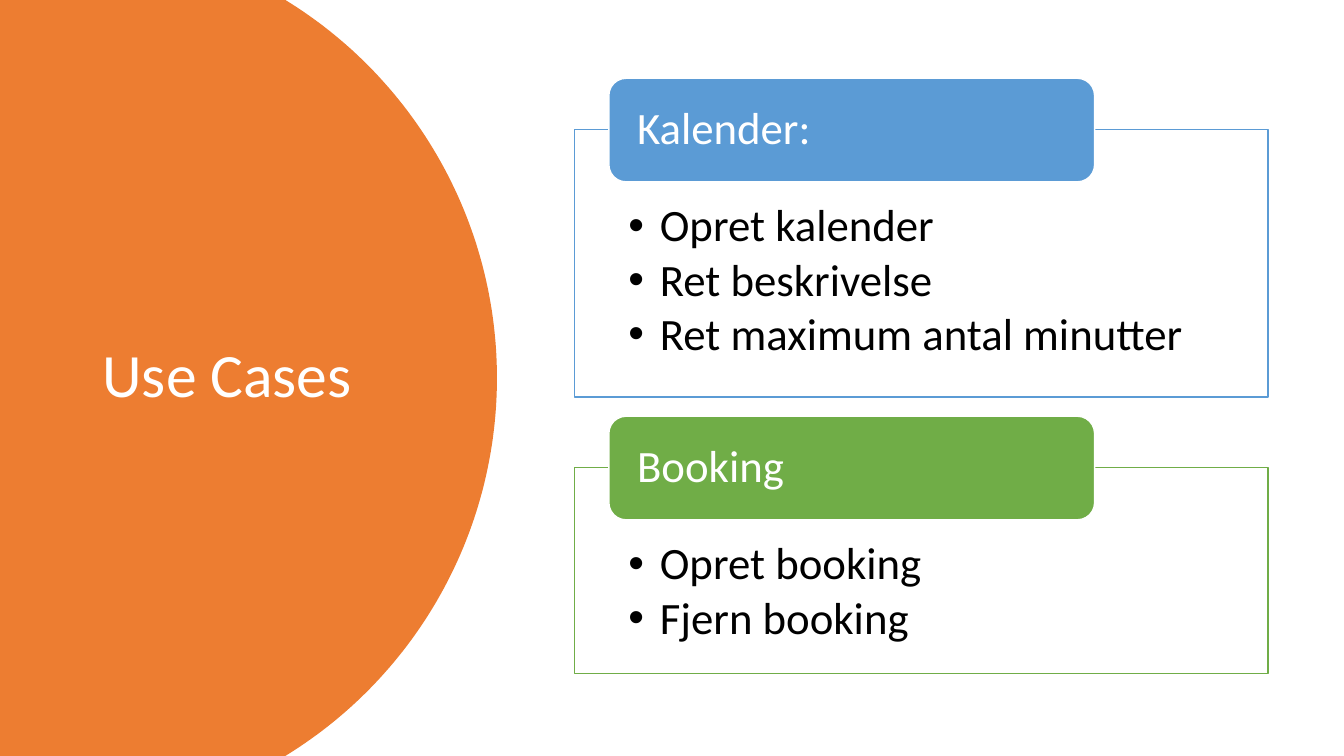
import dataclasses
import math

import pptx
import pptx.dml.color
import pptx.enum.shapes
import pptx.enum.text
import pptx.util

Pt = pptx.util.Pt
COLOURS = {
    "orange": "ED7D31",
    "blue": "5B9BD5",
    "green": "70AD47",
    "white": "FFFFFF",
    "black": "000000",
}
PAGE_WIDTH, PAGE_HEIGHT = 960, 540
BOX_LEFT, BOX_WIDTH = 410.4, 495.36
HEADER_LEFT, HEADER_WIDTH, HEADER_HEIGHT = 434.9, 347, 74
HEADER_RISE = 36.8


@dataclasses.dataclass(frozen=True)
class UseCaseGroup:
    heading: str
    items: tuple[str, ...]
    colour: str
    top: float
    height: float


GROUPS = (
    UseCaseGroup(
        "Kalender:",
        ("Opret kalender", "Ret beskrivelse", "Ret maximum antal minutter"),
        "blue", 92.7, 190.8,
    ),
    UseCaseGroup(
        "Booking", ("Opret booking", "Fjern booking"), "green", 334.1, 146.9
    ),
)


def rgb(name: str) -> pptx.dml.color.RGBColor:
    return pptx.dml.color.RGBColor.from_string(COLOURS[name])


def place(shape, left: float, top: float, width: float, height: float) -> None:
    shape.left, shape.top = Pt(left), Pt(top)
    shape.width, shape.height = Pt(width), Pt(height)


def paint(shape, fill: str, line: str) -> None:
    shape.fill.solid()
    shape.fill.fore_color.rgb = rgb(fill)
    shape.line.color.rgb = rgb(line)
    shape.line.width = Pt(1)


def write(shape, *lines: str, size: float = 32, colour: str = "white",
          middle: bool = True, margins: tuple = (7.2, 3.6, 7.2, 3.6),
          space_after: float = 0, hanging: float = 0) -> None:
    frame = shape.text_frame
    frame.word_wrap = True
    frame.auto_size = pptx.enum.text.MSO_AUTO_SIZE.NONE
    anchors = pptx.enum.text.MSO_ANCHOR
    frame.vertical_anchor = anchors.MIDDLE if middle else anchors.TOP
    (frame.margin_left, frame.margin_top,
     frame.margin_right, frame.margin_bottom) = map(Pt, margins)
    for index, line in enumerate(lines):
        para = frame.add_paragraph() if index else frame.paragraphs[0]
        para.alignment = pptx.enum.text.PP_ALIGN.LEFT
        para.line_spacing = 0.9
        para.space_before, para.space_after = Pt(0), Pt(space_after)
        if hanging:
            properties = para._p.get_or_add_pPr()
            properties.set("marL", str(Pt(hanging)))
            properties.set("indent", str(Pt(-hanging)))
        span = para.add_run()
        span.text = line
        span.font.name = "Calibri"
        span.font.size = Pt(size)
        span.font.color.rgb = rgb(colour)


def draw_disc(page) -> None:
    radius, centre = 316.7, 38.3
    half_angle = math.asin(PAGE_HEIGHT / 2 / radius)
    steps = 120
    angles = [half_angle * (2 * step / steps - 1) for step in range(steps + 1)]
    arc = [
        (Pt(centre + radius * math.cos(angle)),
         Pt(PAGE_HEIGHT / 2 + radius * math.sin(angle)))
        for angle in angles
    ]
    builder = page.shapes.build_freeform(0, 0)
    builder.add_line_segments(arc + [(0, Pt(PAGE_HEIGHT))], close=True)
    disc = builder.convert_to_shape()
    disc.shadow.inherit = False
    disc.fill.solid()
    disc.fill.fore_color.rgb = rgb("orange")
    disc.line.fill.background()
    page.shapes.title._element.addprevious(disc._element)


def draw_group(page, box, group: UseCaseGroup) -> None:
    place(box, BOX_LEFT, group.top, BOX_WIDTH, group.height)
    paint(box, "white", group.colour)
    write(box, *group.items, colour="black", middle=False,
          margins=(38.4, 52.5, 38.4, 18), space_after=4.2, hanging=22.5)
    header = page.shapes.add_shape(
        pptx.enum.shapes.MSO_SHAPE.ROUNDED_RECTANGLE,
        Pt(HEADER_LEFT), Pt(group.top - HEADER_RISE),
        Pt(HEADER_WIDTH), Pt(HEADER_HEIGHT),
    )
    header.shadow.inherit = False
    paint(header, group.colour, "white")
    write(header, group.heading, margins=(16.6, 0, 16.6, 0))


def main() -> None:
    deck = pptx.Presentation()
    deck.slide_width, deck.slide_height = Pt(PAGE_WIDTH), Pt(PAGE_HEIGHT)
    page = deck.slides.add_slide(deck.slide_layouts.get_by_name("Two Content"))
    title, *boxes = page.placeholders
    draw_disc(page)
    place(title, 66, 50.4, 232.6, 438.5)
    write(title, "Use Cases", size=44)
    for box, group in zip(boxes, GROUPS):
        draw_group(page, box, group)
    deck.save("out.pptx")


if __name__ == "__main__":
    main()
